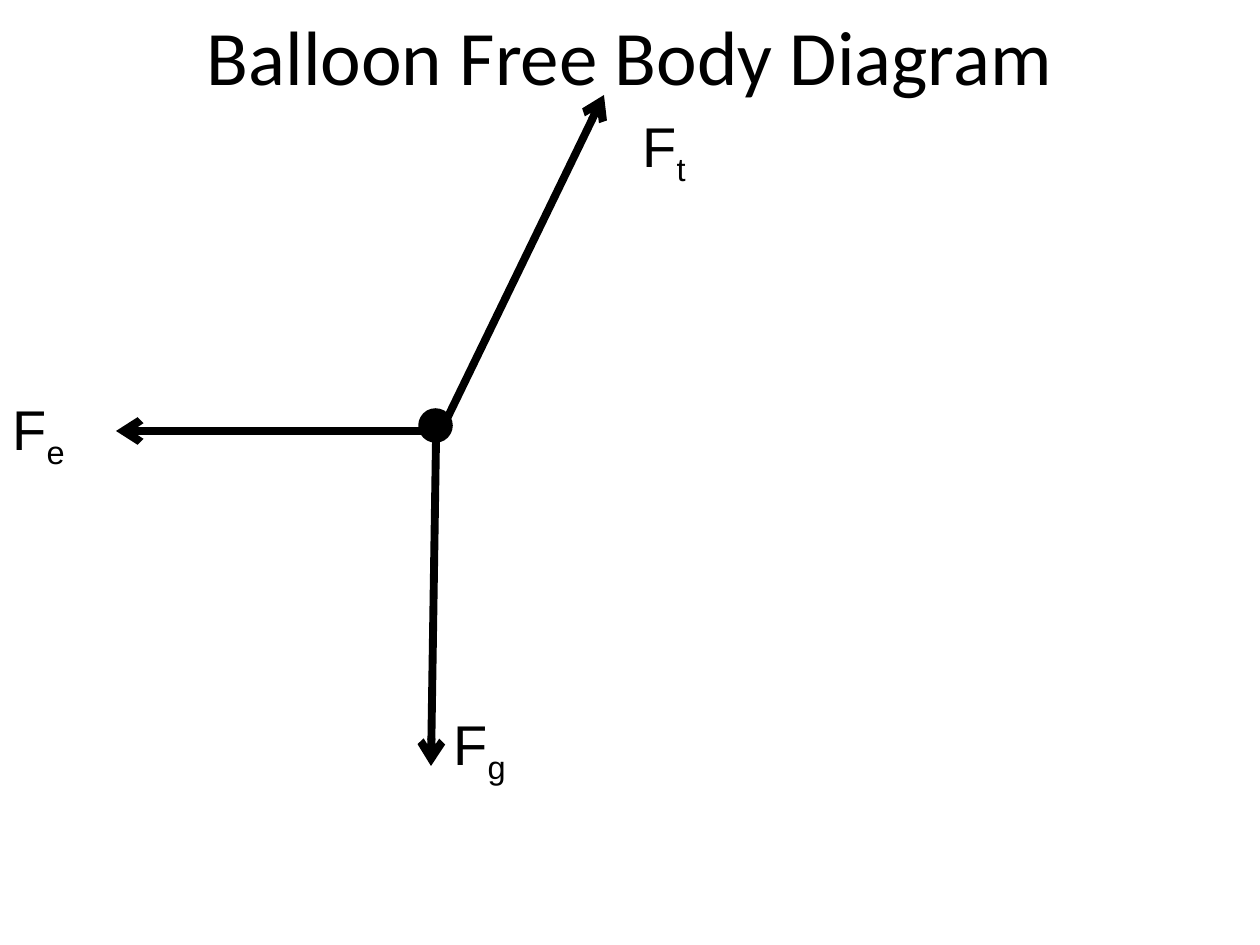
from lxml import etree
from pptx import Presentation
from pptx.dml.color import RGBColor
from pptx.enum.shapes import MSO_CONNECTOR, MSO_SHAPE
from pptx.enum.text import MSO_ANCHOR, PP_ALIGN
from pptx.oxml.ns import qn
from pptx.util import Pt

SCALE = 914400 / 126
STRAIGHT = MSO_CONNECTOR.STRAIGHT
OVAL = MSO_SHAPE.OVAL
MIDDLE = MSO_ANCHOR.MIDDLE
CENTER = PP_ALIGN.CENTER
BLACK = "000000"

# Symbol, arrow start, arrow end, label corner
FORCES = [
    ("g", (436, 346), (431, 671), (441, 608)),
    ("e", (426, 336), (116, 336), (0, 293)),
    ("t", (441, 336), (604, 0), (630, 10)),
]


def px(*nums):
    return [round(n * SCALE) for n in nums]


def color(code):
    return RGBColor.from_string(code)


def add_run(para, text, size, font):
    run = para.add_run()
    run.text = text
    run.font.size = Pt(size)
    run.font.name = font
    run.font.color.rgb = color(BLACK)
    return run


def add_title(slide, box, text):
    frame = slide.shapes.add_textbox(*px(*box)).text_frame
    frame.word_wrap = True
    frame.vertical_anchor = MIDDLE
    para = frame.paragraphs[0]
    para.alignment = CENTER
    add_run(para, text, 44, "Calibri")


def add_dot(slide, box):
    dot = slide.shapes.add_shape(OVAL, *px(*box))
    dot.shadow.inherit = False
    dot.fill.solid()
    dot.fill.fore_color.rgb = color(BLACK)
    dot.line.color.rgb = color(BLACK)
    dot.line.width = Pt(2)


def add_arrow(slide, start, end):
    arrow = slide.shapes.add_connector(STRAIGHT, *px(*start, *end))
    arrow.line.color.rgb = color(BLACK)
    arrow.line.width = Pt(4.5)
    etree.SubElement(arrow.line._get_or_add_ln(), qn("a:tailEnd"), type="arrow")
    etree.SubElement(arrow._element.spPr, qn("a:effectLst"))


def add_label(slide, box, sub):
    """Write the force symbol F with its subscript."""
    frame = slide.shapes.add_textbox(*px(*box)).text_frame
    frame.word_wrap = True
    para = frame.paragraphs[0]
    add_run(para, "F", 32, "Arial")
    run = add_run(para, sub, 32, "Arial")
    run._r.get_or_add_rPr().set("baseline", "-25000")


def add_forces(slide, box):
    """Draw the body as a dot, with each force and its label."""
    left, top = box[:2]

    def place(point):
        return left + point[0], top + point[1]

    add_dot(slide, (*place((420, 315)), 31, 31))
    for sub, start, end, corner in FORCES:
        add_arrow(slide, place(start), place(end))
        add_label(slide, (*place(corner), 126, 89), sub)


def main():
    deck = Presentation()
    deck.slide_width, deck.slide_height = px(1260, 945)
    slide = deck.slides.add_slide(deck.slide_layouts[6])
    add_title(slide, (63, 0, 1134, 110), "Balloon Free Body Diagram")
    add_forces(slide, (0, 95, 756, 697))
    deck.save("out.pptx")


if __name__ == "__main__":
    main()
